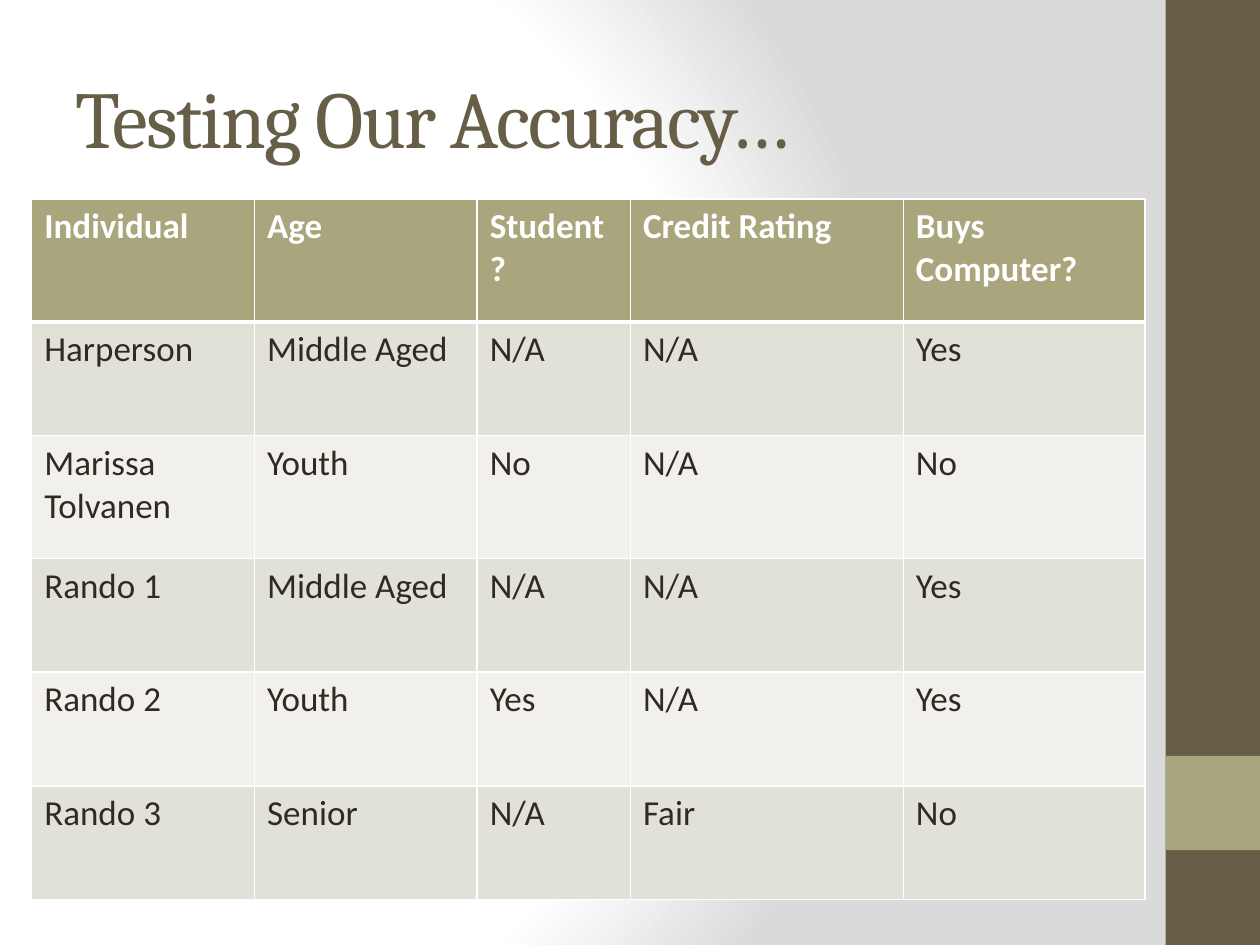
from dataclasses import dataclass

from pptx import Presentation, util as u
from pptx.dml.color import RGBColor
from pptx.enum import shapes, text
from pptx.oxml import parse_xml
from pptx.oxml.ns import nsdecls

HUES = {
    "brown": "675E47", "olive": "A9A57C", "ink": "2F2B20", "white": "FFFFFF",
    "grey": "DADADA", "dark": "E2E1D7", "light": "F1F0EC",
}
WIDE, HIGH = 25.4, 19.05
COLS = [4.49, 4.49, 3.09, 5.5, 4.87]
ROWS = [2.48, 2.29, 2.48, 2.29, 2.29, 2.29]
DATA = [
    ["Individual", "Age", "Student?", "Credit Rating", "Buys Computer?"],
    ["Harperson", "Middle Aged", "N/A", "N/A", "Yes"],
    ["Marissa Tolvanen", "Youth", "No", "N/A", "No"],
    ["Rando 1", "Middle Aged", "N/A", "N/A", "Yes"],
    ["Rando 2", "Youth", "Yes", "N/A", "Yes"],
    ["Rando 3", "Senior", "N/A", "Fair", "No"],
]


@dataclass
class Bar:
    top: float
    high: float
    hue: str


@dataclass
class Look:
    fill: str
    ink: str
    bold: bool
    top: int = 1
    base: int = 1


BARS = [Bar(0, HIGH, "brown"), Bar(15.24, 1.9, "olive")]


def rgb(hue: str) -> RGBColor:
    return RGBColor.from_string(HUES[hue])


def set_font(para, face: str, size: int, hue: str, bold: bool = False) -> None:
    font = para.font
    font.name, font.size, font.bold = face, u.Pt(size), bold
    font.color.rgb = rgb(hue)


def add_back(slide) -> None:
    """Radial white to grey background."""
    stops = "".join(
        f'<a:gs pos="{pos * 1000}"><a:srgbClr val="{HUES[hue]}"/></a:gs>'
        for pos, hue in [(0, "white"), (75, "white"), (100, "grey")])
    slide.element.cSld.insert(0, parse_xml(
        f'<p:bg {nsdecls("p", "a")}><p:bgPr><a:gradFill rotWithShape="1">'
        f'<a:gsLst>{stops}</a:gsLst><a:path path="circle">'
        '<a:fillToRect l="20000" t="50000" r="100000" b="50000"/>'
        '</a:path></a:gradFill><a:effectLst/></p:bgPr></p:bg>'))


def add_bar(slide, bar: Bar) -> None:
    wide = 1.9
    rect = slide.shapes.add_shape(
        shapes.MSO_SHAPE.RECTANGLE, u.Cm(WIDE - wide), u.Cm(bar.top),
        u.Cm(wide), u.Cm(bar.high))
    rect.shadow.inherit = False
    rect.fill.solid()
    rect.fill.fore_color.rgb = rgb(bar.hue)
    rect.line.fill.background()


def add_title(slide, words: str) -> None:
    box = slide.shapes.add_textbox(u.Cm(1.27), u.Cm(0.76), u.Cm(21.16), u.Cm(3.18))
    frame = box.text_frame
    frame.word_wrap = True
    frame.vertical_anchor = text.MSO_ANCHOR.MIDDLE
    para = frame.paragraphs[0]
    run = para.add_run()
    run.text = words
    set_font(para, "Cambria", 46, "brown")
    run.font._element.set("spc", "-100")


def fill_cell(cell, words: str, look: Look) -> None:
    cell.text = words
    set_font(cell.text_frame.paragraphs[0], "Calibri", 20, look.ink, look.bold)
    # Borders come before the fill in the cell's XML
    props = cell._tc.get_or_add_tcPr()
    for side, size in [("L", 1), ("R", 1), ("T", look.top), ("B", look.base)]:
        props.append(parse_xml(
            f'<a:ln{side} {nsdecls("a")} w="{u.Pt(size)}"><a:solidFill>'
            f'<a:srgbClr val="{HUES["white"]}"/></a:solidFill></a:ln{side}>'))
    cell.fill.solid()
    cell.fill.fore_color.rgb = rgb(look.fill)


def row_look(row: int) -> Look:
    if row == 0:
        return Look("olive", "white", True, base=3)
    return Look("dark" if row % 2 else "light", "ink", False, top=3 if row == 1 else 1)


def add_grid(slide) -> None:
    grid = slide.shapes.add_table(
        len(ROWS), len(COLS), u.Cm(0.64), u.Cm(4.01),
        u.Cm(sum(COLS)), u.Cm(sum(ROWS))).table
    for col, wide in zip(grid.columns, COLS):
        col.width = u.Cm(wide)
    for i, (row, high) in enumerate(zip(grid.rows, ROWS)):
        row.height = u.Cm(high)
        for cell, words in zip(row.cells, DATA[i]):
            fill_cell(cell, words, row_look(i))


def main() -> None:
    deck = Presentation()
    deck.slide_width, deck.slide_height = u.Cm(WIDE), u.Cm(HIGH)
    slide = deck.slides.add_slide(deck.slide_layouts[6])
    add_back(slide)
    # Side band
    for bar in BARS:
        add_bar(slide, bar)
    # Title and table
    add_title(slide, "Testing Our Accuracy…")
    add_grid(slide)
    deck.save("out.pptx")


if __name__ == "__main__":
    main()
